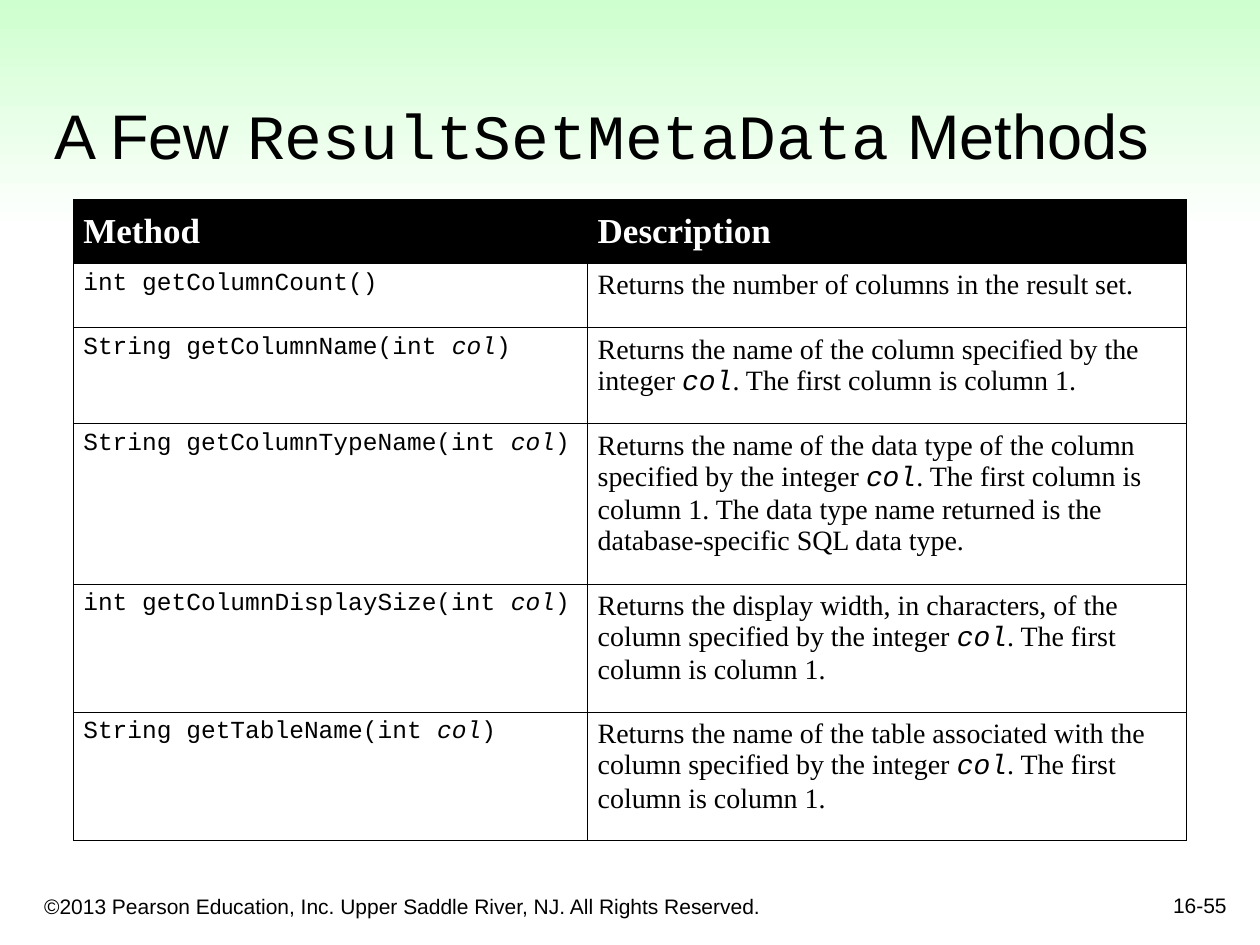
from pptx import Presentation
from pptx.dml.color import RGBColor as RGB
from pptx.enum.shapes import MSO_SHAPE as SHAPE
from pptx.enum.text import MSO_ANCHOR as ANCHOR, PP_ALIGN as ALIGN
from pptx.oxml import parse_xml
from pptx.oxml.ns import nsdecls
from pptx.util import Cm, Pt

COLORS = {"ink": "000000", "paper": "FFFFFF", "mint": "CCFFCC"}
SANS, SERIF, MONO = "Arial", "Times New Roman", "Courier New"


class Deck:
    """Holds the style and the current slide."""

    def __init__(self, width, height):
        self.prs = Presentation()
        self.prs.slide_width, self.prs.slide_height = Cm(width), Cm(height)
        self.s = self.prs.slides.add_slide(self.prs.slide_layouts[6])

    def color(self, name):
        return RGB.from_string(COLORS[name])

    def runs(self, p, parts, size, color="ink", bold=False):
        """Each part is (text, font) or (text, font, italic)."""
        for text, font, *italic in parts:
            r = p.add_run()
            r.text = text
            r.font.name, r.font.size = font, Pt(size)
            r.font.bold, r.font.italic = bold, bool(italic and italic[0])
            r.font.color.rgb = self.color(color)

    def band(self, x, y, w, h, top, bottom):
        sp = self.s.shapes.add_shape(SHAPE.RECTANGLE, Cm(x), Cm(y), Cm(w), Cm(h))
        sp.shadow.inherit = False
        sp.line.fill.background()
        sp.fill.gradient()
        sp.fill.gradient_angle = 270
        for stop, name, pos in zip(sp.fill.gradient_stops, (top, bottom), (0, 1)):
            stop.color.rgb, stop.position = self.color(name), pos

    def text(self, x, y, w, h, parts, size, align=ALIGN.LEFT):
        tf = self.s.shapes.add_textbox(Cm(x), Cm(y), Cm(w), Cm(h)).text_frame
        tf.word_wrap = True
        tf.vertical_anchor = ANCHOR.BOTTOM
        p = tf.paragraphs[0]
        p.alignment = align
        self.runs(p, parts, size)

    def cell(self, cell, parts, size, fill="paper", color="ink", bold=False,
             anchor=ANCHOR.TOP):
        cell.margin_left = cell.margin_right = Cm(0.2)
        cell.margin_top = cell.margin_bottom = Cm(0.13)
        cell.vertical_anchor = anchor
        self.runs(cell.text_frame.paragraphs[0], parts, size, color, bold)
        tc_pr = cell._tc.get_or_add_tcPr()
        for side in ("lnL", "lnR", "lnT", "lnB"):
            tc_pr.append(parse_xml(
                f'<a:{side} {nsdecls("a")} w="{Pt(0.45)}"><a:solidFill>'
                f'<a:srgbClr val="{COLORS["ink"]}"/></a:solidFill></a:{side}>'))
        cell.fill.solid()
        cell.fill.fore_color.rgb = self.color(fill)

    def table(self, x, y, widths, line, header, rows):
        """Each row is as tall as its description plus one spare line."""
        heights = [2 * line] + [(n + 1) * line for n, _, _ in rows]
        table = self.s.shapes.add_table(
            len(heights), len(widths), Cm(x), Cm(y),
            Cm(sum(widths)), Cm(sum(heights))).table
        for col, w in zip(table.columns, widths):
            col.width = Cm(w)
        for row, h in zip(table.rows, heights):
            row.height = Cm(h)
        for c, title in enumerate(header):
            self.cell(table.cell(0, c), [(title, SERIF)], 20, "ink", "paper",
                      True, ANCHOR.MIDDLE)
        for i, (_, method, description) in enumerate(rows, 1):
            self.cell(table.cell(i, 0), with_argument(method, MONO), 14)
            self.cell(table.cell(i, 1), with_argument(description, SERIF), 16)


def with_argument(text, font):
    """Turn the text between asterisks into italic code."""
    return [(part, MONO, True) if i % 2 else (part, font)
            for i, part in enumerate(text.split("*"))]


# Line count of the description, method, description
METHODS = [
    (1, "int getColumnCount()",
     "Returns the number of columns in the result set."),
    (2, "String getColumnName(int *col*)",
     "Returns the name of the column specified by the integer *col*. "
     "The first column is column 1."),
    (4, "String getColumnTypeName(int *col*)",
     "Returns the name of the data type of the column specified by the integer "
     "*col*. The first column is column 1. The data type name returned is the "
     "database-specific SQL data type."),
    (3, "int getColumnDisplaySize(int *col*)",
     "Returns the display width, in characters, of the column specified by the "
     "integer *col*. The first column is column 1."),
    (3, "String getTableName(int *col*)",
     "Returns the name of the table associated with the column specified by the "
     "integer *col*. The first column is column 1."),
]


def main():
    deck = Deck(25.4, 19.05)

    # Background band and footer
    deck.band(0, -0.2, 25.4, 4.86, "mint", "paper")
    deck.text(0.64, 17.58, 15.44, 1.07, [(
        "©2013 Pearson Education, Inc. Upper Saddle River, NJ. "
        "All Rights Reserved.", SANS)], 12)

    # Title and slide number
    deck.text(0.85, 0.85, 23.92, 2.75, [
        ("A Few ", SANS), ("ResultSetMetaData", MONO), (" Methods", SANS)], 36)
    deck.text(19.69, 17.36, 5.29, 1.27, [("16-55", SANS)], 12, ALIGN.RIGHT)

    # Method table
    deck.table(1.48, 4.02, (10.37, 12.07), 12.92 / 20,
               ("Method", "Description"), METHODS)

    deck.prs.save("out.pptx")


if __name__ == "__main__":
    main()
